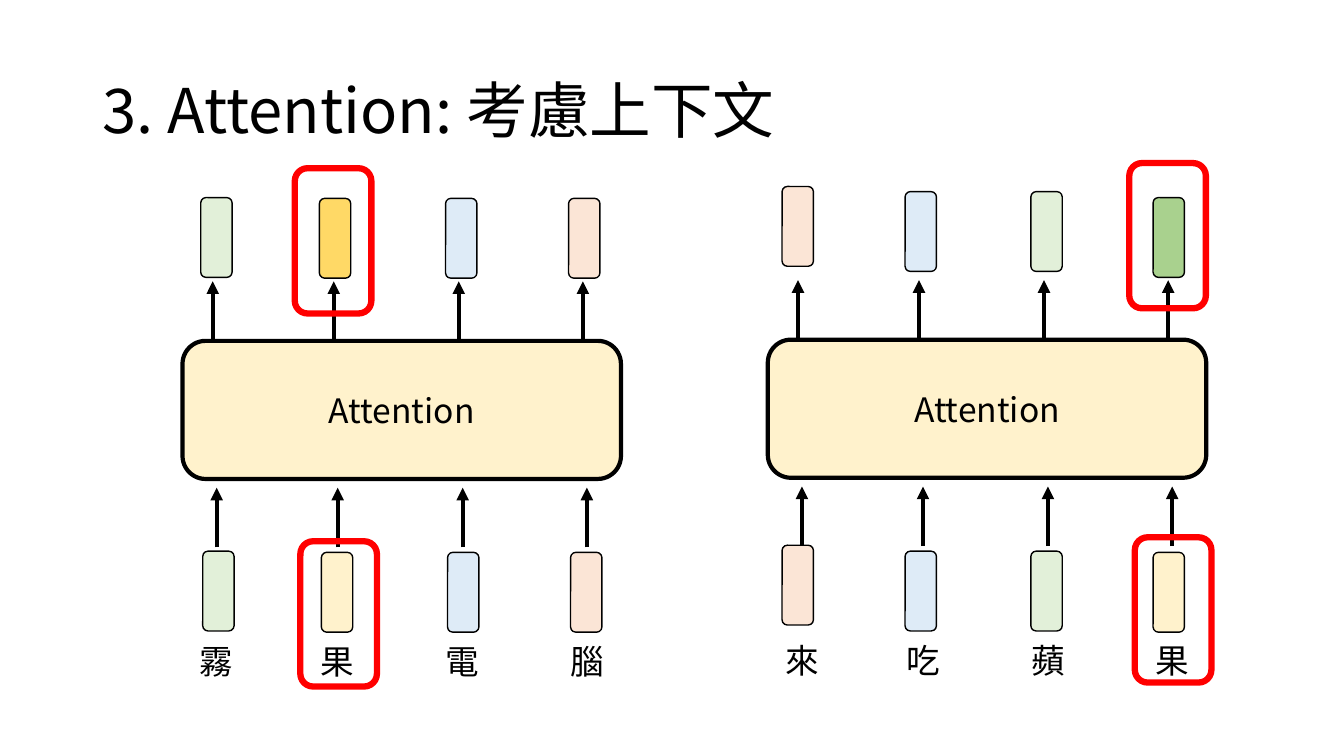
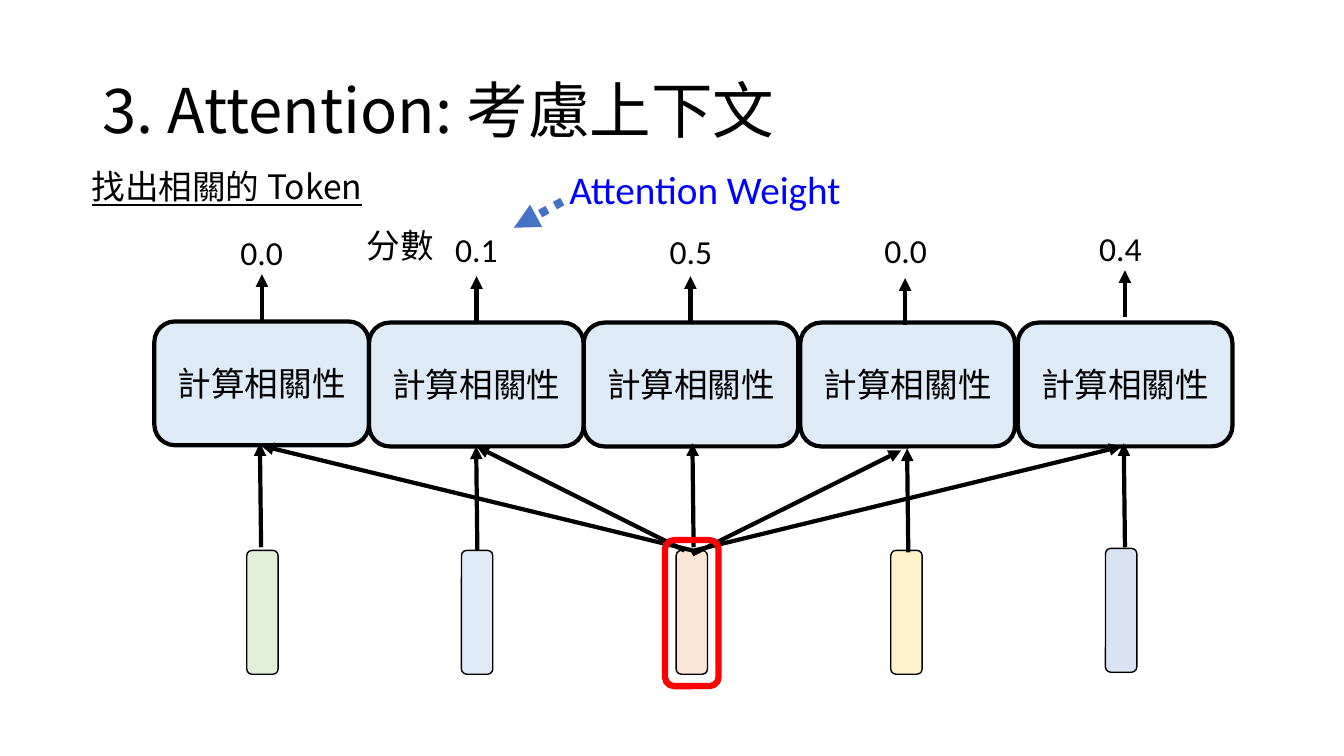
from lxml import etree
from pptx import Presentation
from pptx.dml.color import RGBColor
from pptx.enum.dml import MSO_LINE
from pptx.enum.shapes import MSO_CONNECTOR, MSO_SHAPE
from pptx.enum.text import MSO_ANCHOR, PP_ALIGN
from pptx.oxml.ns import qn
from pptx.util import Cm, Pt

ROUNDED = MSO_SHAPE.ROUNDED_RECTANGLE
STRAIGHT = MSO_CONNECTOR.STRAIGHT
DOTTED = MSO_LINE.ROUND_DOT
LEFT, CENTER, RIGHT = PP_ALIGN.LEFT, PP_ALIGN.CENTER, PP_ALIGN.RIGHT
TOP, MIDDLE = MSO_ANCHOR.TOP, MSO_ANCHOR.MIDDLE

BLACK = RGBColor(0x00, 0x00, 0x00)
RED = RGBColor(0xFF, 0x00, 0x00)
BLUE = RGBColor(0x00, 0x00, 0xFF)
ARROW_BLUE = RGBColor(0x44, 0x72, 0xC4)
PALE_GREEN = RGBColor(0xE2, 0xF0, 0xD9)
PALE_BLUE = RGBColor(0xDE, 0xEB, 0xF7)
PALE_ORANGE = RGBColor(0xFB, 0xE5, 0xD6)
PALE_YELLOW = RGBColor(0xFF, 0xF2, 0xCC)
PALE_INDIGO = RGBColor(0xDA, 0xE3, 0xF3)
GOLD = RGBColor(0xFF, 0xD9, 0x66)
GREEN = RGBColor(0xA9, 0xD1, 0x8E)

MAIN_FONT = "Noto Sans CJK SC"
NUMBER_FONT = "Calibri"
BAR_WIDTH = 0.79


def add_item(slide, left, top, width, height, text="", *, fill=None, line=None,
             weight=1, size=24, font=MAIN_FONT, color=BLACK, align=CENTER,
             anchor=MIDDLE, underline=None, spacing=None):
    """Add a rounded box if it has a line colour, else a text box (cm)."""
    place = Cm(left), Cm(top), Cm(width), Cm(height)
    if line is None:
        shape = slide.shapes.add_textbox(*place)
    else:
        shape = slide.shapes.add_shape(ROUNDED, *place)
        shape.shadow.inherit = False
        shape.line.color.rgb = line
        shape.line.width = Pt(weight)
        if fill is None:
            shape.fill.background()
        else:
            shape.fill.solid()
            shape.fill.fore_color.rgb = fill
    if text:
        frame = shape.text_frame
        frame.word_wrap = True
        frame.vertical_anchor = anchor
        paragraph = frame.paragraphs[0]
        paragraph.alignment = align
        paragraph.line_spacing = spacing
        run = paragraph.add_run()
        run.text = text
        run.font.size = Pt(size)
        run.font.name = font
        run.font.underline = underline
        run.font.color.rgb = color
        east_asian = etree.SubElement(run.font._element, qn("a:ea"))
        east_asian.set("typeface", font)


def add_arrow(slide, x1, y1, x2, y2, color=BLACK, weight=3, dash=None):
    arrow = slide.shapes.add_connector(STRAIGHT, Cm(x1), Cm(y1), Cm(x2), Cm(y2))
    arrow.line.color.rgb = color
    arrow.line.width = Pt(weight)
    if dash is not None:
        arrow.line.dash_style = dash
    head = etree.SubElement(arrow.line._get_or_add_ln(), qn("a:tailEnd"))
    head.set("type", "triangle")
    etree.SubElement(arrow._element.spPr, qn("a:effectLst"))


presentation = Presentation()
presentation.slide_width = Cm(33.87)
presentation.slide_height = Cm(19.05)

# Shared title
slides = []
for _ in range(2):
    slide = presentation.slides.add_slide(presentation.slide_layouts[6])
    add_item(slide, 2.34, 1.02, 29.21, 3.68, "3. Attention: 考慮上下文",
             size=44, align=LEFT, spacing=0.9)
    slides.append(slide)
context_slide, weight_slide = slides

# Slide 1: the same token in two contexts
COLUMN_OFFSETS = [0.86, 3.91, 7.06, 10.19]
BAR_HEIGHT = 2.01
# Per sentence: block left and top, shift of output bars, marked column,
# tops of the output and input frames, and its tokens:
# character, bar left, input top, input fill, output top, output fill
sentences = [
    (4.6, 8.59, -0.05, 1, 4.24, 13.64, [
        ("霧", 5.11, 13.89, PALE_GREEN, 4.98, PALE_GREEN),
        ("果", 8.1, 13.92, PALE_YELLOW, 5, GOLD),
        ("電", 11.28, 13.92, PALE_BLUE, 5, PALE_BLUE),
        ("腦", 14.38, 13.92, PALE_ORANGE, 5, PALE_ORANGE)]),
    (19.35, 8.56, 0, 3, 4.11, 13.54, [
        ("來", 19.71, 13.74, PALE_ORANGE, 4.7, PALE_ORANGE),
        ("吃", 22.81, 13.89, PALE_BLUE, 4.83, PALE_BLUE),
        ("蘋", 25.98, 13.89, PALE_GREEN, 4.83, PALE_GREEN),
        ("果", 29.06, 13.92, PALE_YELLOW, 4.98, GREEN)]),
]
for left, top, shift, marked, upper_frame, lower_frame, tokens in sentences:
    add_item(context_slide, left, top, 11.05, 3.48, "Attention",
             fill=PALE_YELLOW, line=BLACK, weight=3)
    for offset, token in zip(COLUMN_OFFSETS, tokens):
        character, bar_left, input_top, input_fill, output_top, output_fill = token
        x = left + offset
        add_item(context_slide, bar_left, input_top, BAR_WIDTH, BAR_HEIGHT,
                 fill=input_fill, line=BLACK)
        add_item(context_slide, bar_left + shift, output_top, BAR_WIDTH,
                 BAR_HEIGHT, fill=output_fill, line=BLACK)
        add_arrow(context_slide, x, top + 5.2, x, top + 3.7)
        add_arrow(context_slide, x - 0.1, top, x - 0.1, top - 1.5)
        add_item(context_slide, x - 0.99, top + 7.44, 1.98, 1.27, character,
                 anchor=TOP)
    marked_x = left + COLUMN_OFFSETS[marked]
    for frame_left, frame_top in [(marked_x - 0.94, lower_frame),
                                  (marked_x - 1.08, upper_frame)]:
        add_item(context_slide, frame_left, frame_top, 1.93, 3.66,
                 line=RED, weight=4.5)

# Slide 2: relevance of each token
COLUMN_STEP = 5.41
BLOCK_HEIGHT = 3.12
# Bar fill and top, block left and top, foot of the input arrow,
# foot of the score arrow, score and its top
columns = [
    (PALE_GREEN, 13.87, 3.89, 8.1, (6.58, 13.79), (6.6, 8.08), "0.0", 5.72),
    (PALE_BLUE, 13.87, 9.3, 8.13, (12.03, 13.87), (12.01, 8.13), "0.1", 5.64),
    (PALE_ORANGE, 13.87, 14.71, 8.13, (17.48, 13.79), (17.4, 8.13), "0.5", 5.69),
    (PALE_YELLOW, 13.87, 20.17, 8.13, (22.89, 13.92), (22.81, 8.18), "0.0", 5.66),
    (PALE_INDIGO, 13.82, 25.65, 8.13, (28.35, 13.79), (28.35, 7.98), "0.4", 5.61),
]
for index, column in enumerate(columns):
    fill, bar_top, left, top, input_foot, score_foot, score, score_top = column
    add_item(weight_slide, 6.22 + index * COLUMN_STEP, bar_top, BAR_WIDTH,
             BLOCK_HEIGHT, fill=fill, line=BLACK)
    add_item(weight_slide, left, top, COLUMN_STEP, BLOCK_HEIGHT, "計算相關性",
             fill=PALE_BLUE, line=BLACK, weight=3)
    x, y = input_foot
    add_arrow(weight_slide, x, y, x - 0.03, y - 2.62)
    x, y = score_foot
    add_arrow(weight_slide, x, y, x, y - 1.17)
    add_item(weight_slide, 5.31 + index * COLUMN_STEP, score_top, 2.57, 1.27,
             score, font=NUMBER_FONT, anchor=TOP)

# Marked token compared with the others
for ends in [(17.45, 13.87, 6.58, 11.23), (17.25, 13.87, 12.01, 11.25),
             (17.45, 13.97, 22.71, 11.35), (17.42, 13.89, 28.27, 11.25)]:
    add_arrow(weight_slide, *ends)
add_item(weight_slide, 16.76, 13.61, 1.35, 3.68, line=RED, weight=4.5)

# Captions
add_item(weight_slide, 2.06, 4.06, 8.33, 1.27, "找出相關的 Token",
         align=LEFT, anchor=TOP, underline=True)
add_item(weight_slide, 8.51, 5.54, 2.67, 1.27, "分數", align=RIGHT, anchor=TOP)
add_item(weight_slide, 13.56, 4.04, 8.41, 1.45, "Attention Weight", size=28,
         font=NUMBER_FONT, color=BLUE, anchor=TOP)
add_arrow(weight_slide, 14.17, 5.08, 12.95, 5.74, color=ARROW_BLUE, weight=6,
          dash=DOTTED)

presentation.save("out.pptx")
